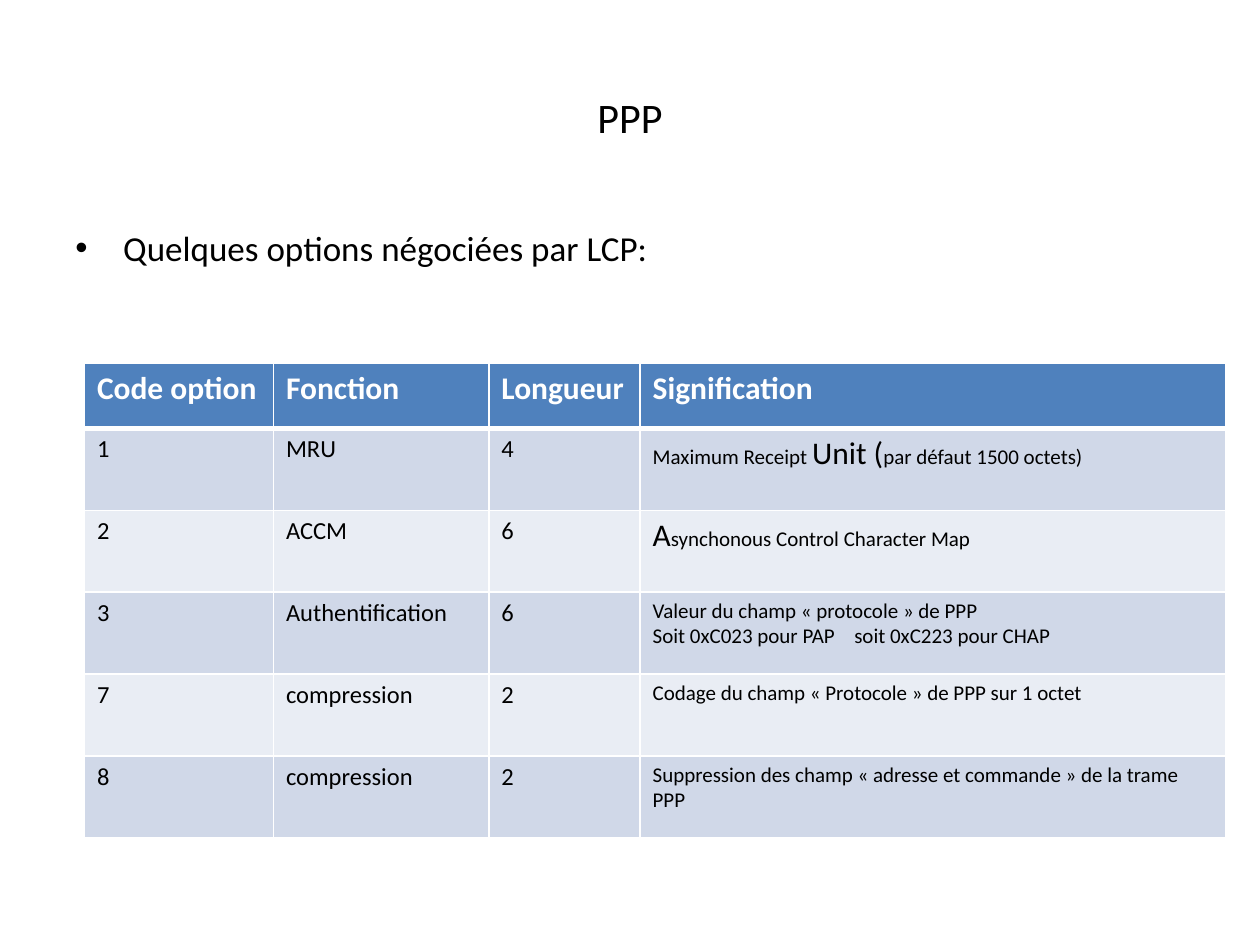
from lxml import etree
from pptx import Presentation
from pptx.dml.color import RGBColor
from pptx.enum.text import MSO_ANCHOR, PP_ALIGN
from pptx.oxml.ns import qn
from pptx.util import Emu, Inches, Pt

CENTER = PP_ALIGN.CENTER
MIDDLE = MSO_ANCHOR.MIDDLE
COLORS = {"text": "000000", "white": "FFFFFF", "header": "4F81BD",
          "odd": "D0D8E8", "even": "E9EDF4"}
FONT = "Calibri"
MARGIN = 0.5
COLUMN_WIDTHS = [1.5, 1.71, 1.2, 4.65]
ROW_HEIGHTS = [0.52] + [0.65] * 5
PAP_TAB = 1.6


def add_text(paragraph, text, size, color="text", bold=False):
    run = paragraph.add_run()
    run.text = text
    run.font.name = FONT
    run.font.size = Pt(size)
    run.font.bold = bold
    run.font.color.rgb = RGBColor.from_string(COLORS[color])


def add_border(cell, side, width):
    line = etree.SubElement(cell._tc.get_or_add_tcPr(), qn(f"a:ln{side}"), w=str(Pt(width)))
    fill = etree.SubElement(line, qn("a:solidFill"))
    etree.SubElement(fill, qn("a:srgbClr"), val=COLORS["white"])


prs = Presentation()
prs.slide_width, prs.slide_height = Inches(10), Inches(7.5)
slide = prs.slides.add_slide(prs.slide_layouts[6])
content_width = prs.slide_width - 2 * Inches(MARGIN)

title = slide.shapes.add_textbox(Inches(MARGIN), Inches(0.3), content_width, Inches(1.25)).text_frame
title.word_wrap = True
title.vertical_anchor = MIDDLE
title.paragraphs[0].alignment = CENTER
add_text(title.paragraphs[0], "PPP", 24)

intro = slide.shapes.add_textbox(Inches(MARGIN), Inches(1.75), content_width, Inches(4.95)).text_frame
intro.word_wrap = True
intro_line = intro.paragraphs[0]
intro_line.space_before = Pt(4)
bullet_format = intro_line._p.get_or_add_pPr()
bullet_format.set("marL", str(Inches(0.38)))
bullet_format.set("indent", str(-Inches(0.38)))
etree.SubElement(bullet_format, qn("a:buFont"), typeface="Arial")
etree.SubElement(bullet_format, qn("a:buChar"), char="•")
add_text(intro_line, "Quelques options négociées par LCP:", 20)

headings = ["Code option", "Fonction", "Longueur", "Signification"]
lcp_options = [
    ("1", "MRU", "4", [[("Maximum Receipt ", 12), ("Unit (", 18), ("par défaut 1500 octets)", 12)]]),
    ("2", "ACCM", "6", [[("A", 18), ("synchonous Control Character Map", 12)]]),
    ("3", "Authentification", "6", [
        [("Valeur du champ «\u00a0protocole\u00a0» de PPP", 12)],
        [("Soit 0xC023 pour PAP\tsoit 0xC223 pour CHAP", 12)]]),
    ("7", "compression", "2", [[("Codage du champ «\u00a0Protocole\u00a0» de PPP sur 1 octet", 12)]]),
    ("8", "compression", "2", [
        [("Suppression des champ «\u00a0adresse et commande\u00a0» de la trame PPP", 12)]]),
]
grid = [[[[(heading, 18)]] for heading in headings]]
for *short_values, meaning in lcp_options:
    grid.append([[[(value, 14)]] for value in short_values] + [meaning])

options = slide.shapes.add_table(
    len(grid), len(headings), Inches(0.67), Inches(2.88),
    Emu(Inches(sum(COLUMN_WIDTHS))), Emu(Inches(sum(ROW_HEIGHTS)))).table
for column, width in zip(options.columns, COLUMN_WIDTHS):
    column.width = Inches(width)
for row, height in zip(options.rows, ROW_HEIGHTS):
    row.height = Inches(height)

for r, row_content in enumerate(grid):
    is_header = r == 0
    band = "header" if is_header else "odd" if r % 2 else "even"
    for c, lines in enumerate(row_content):
        cell = options.cell(r, c)
        for side in "LRTB":
            thick = (is_header and side == "B") or (r == 1 and side == "T")
            add_border(cell, side, 3 if thick else 1)
        cell.fill.solid()
        cell.fill.fore_color.rgb = RGBColor.from_string(COLORS[band])
        for i, line in enumerate(lines):
            paragraph = cell.text_frame.add_paragraph() if i else cell.text_frame.paragraphs[0]
            for text, size in line:
                add_text(paragraph, text, size, "white" if is_header else "text", is_header)
                if "\t" in text:
                    tabs = etree.SubElement(paragraph._p.get_or_add_pPr(), qn("a:tabLst"))
                    etree.SubElement(tabs, qn("a:tab"), pos=str(Inches(PAP_TAB)), algn="l")

prs.save("out.pptx")
